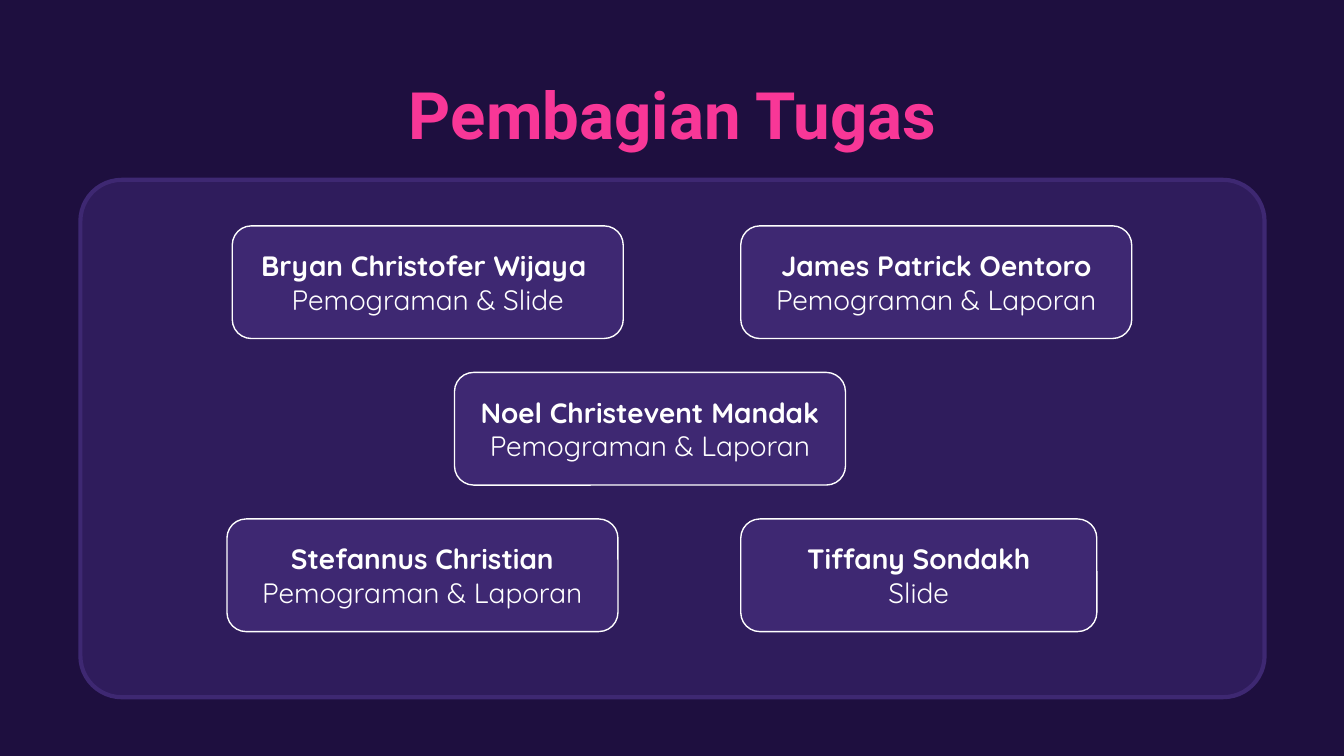
"""Build the task division slide, with one card for each team member."""
from dataclasses import dataclass

from pptx import Presentation
from pptx.dml.color import RGBColor
from pptx.enum import shapes, text
from pptx.util import Cm, Pt

CARD_HEIGHT = 2.13
FIRST_ROW_TOP = 4.27
ROW_STEP = 2.77


@dataclass
class Member:
    name: str
    task: str
    row: int
    left: float
    width: float = 7.39


MEMBERS = [
    Member("Bryan Christofer Wijaya ", "Pemograman & Slide", 0, 4.39),
    Member("Tiffany Sondakh", "Slide", 2, 14, 6.73),
    Member("Noel Christevent Mandak", "Pemograman & Laporan", 1, 8.59),
    Member("Stefannus Christian", "Pemograman & Laporan", 2, 4.29),
    Member("James Patrick Oentoro", "Pemograman & Laporan", 0, 14),
]


def paint(color_format, color: str) -> None:
    color_format.rgb = RGBColor.from_string(color)


def format_text(paragraph, font_name: str, size: float, color: str, bold: bool) -> None:
    paragraph.alignment = text.PP_ALIGN.CENTER
    for run in paragraph.runs:
        run.font.name = font_name
        run.font.size = Pt(size)
        run.font.bold = bold
        paint(run.font.color, color)


def set_frame(frame) -> None:
    frame.word_wrap = True
    frame.auto_size = text.MSO_AUTO_SIZE.NONE
    frame.vertical_anchor = text.MSO_ANCHOR.MIDDLE
    frame.margin_left = frame.margin_right = Cm(0.25)
    frame.margin_top = frame.margin_bottom = Cm(0.25)


def add_rounded(slide, left: float, top: float, width: float, height: float,
                corner: float, fill: str, line: str, line_width: float):
    box = slide.shapes.add_shape(shapes.MSO_SHAPE.ROUNDED_RECTANGLE,
                                 Cm(left), Cm(top), Cm(width), Cm(height))
    box.adjustments[0] = corner
    box.shadow.inherit = False
    box.fill.solid()
    paint(box.fill.fore_color, fill)
    paint(box.line.color, line)
    box.line.width = Pt(line_width)
    return box


def add_card(slide, member: Member) -> None:
    top = FIRST_ROW_TOP + member.row * ROW_STEP
    card = add_rounded(slide, member.left, top, member.width, CARD_HEIGHT,
                       0.17, "3E2872", "FFFFFF", 0.75)
    frame = card.text_frame
    set_frame(frame)
    frame.text = f"{member.name}\n{member.task}"
    name, task = frame.paragraphs
    format_text(name, "Quicksand", 15, "FFFFFF", True)
    format_text(task, "Quicksand", 15, "FFFFFF", False)


def add_heading(slide, wording: str) -> None:
    heading = slide.shapes.title
    heading.left, heading.top = Cm(2.01), Cm(1.5)
    heading.width, heading.height = Cm(21.41), Cm(1.27)
    set_frame(heading.text_frame)
    heading.text_frame.text = wording
    format_text(heading.text_frame.paragraphs[0], "Roboto", 35, "F83797", True)


def main() -> None:
    deck = Presentation()
    deck.slide_width, deck.slide_height = Cm(25.4), Cm(14.29)
    slide = deck.slides.add_slide(deck.slide_layouts.get_by_name("Title Only"))
    slide.background.fill.solid()
    paint(slide.background.fill.fore_color, "1E0F3F")
    add_heading(slide, "Pembagian Tugas")
    add_rounded(slide, 1.52, 3.4, 22.38, 9.78, 0.08, "2F1C5C", "3E2872", 2.25)
    for member in MEMBERS:
        add_card(slide, member)
    deck.save("out.pptx")


if __name__ == "__main__":
    main()
